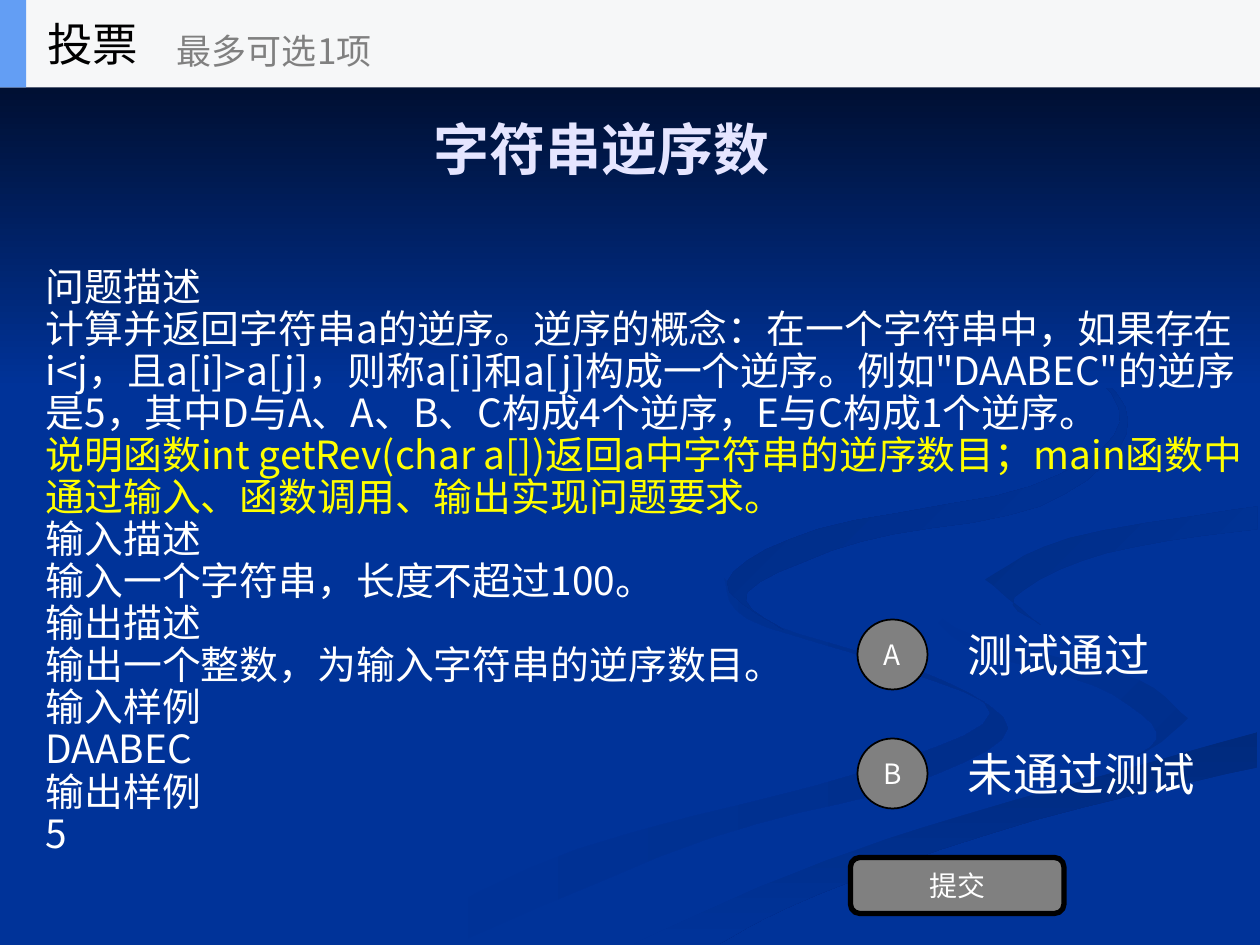
"""Build a voting slide about counting inversions in a string."""
from pptx import Presentation
from pptx.dml.color import RGBColor
from pptx.enum import shapes, text
from pptx.oxml.ns import qn
from pptx.util import Pt

SANS, SERIF = "Noto Sans CJK SC", "Times New Roman"
WHITE, BLACK, GRAY, YELLOW, BLUE = "FFFFFF", "000000", "808080", "FFFF00", "003399"
KIND = shapes.MSO_SHAPE
MIDDLE, TOP = text.MSO_ANCHOR.MIDDLE, text.MSO_ANCHOR.TOP
LEFT, CENTER = text.PP_ALIGN.LEFT, text.PP_ALIGN.CENTER

BODY = [
    ("问题描述", WHITE),
    ("计算并返回字符串a的逆序。逆序的概念：在一个字符串中，如果存在i<j，且a[i]>a[j]，"
     "则称a[i]和a[j]构成一个逆序。例如\"DAABEC\"的逆序是5，"
     "其中D与A、A、B、C构成4个逆序，E与C构成1个逆序。", WHITE),
    ("说明函数int getRev(char a[])返回a中字符串的逆序数目；"
     "main函数中通过输入、函数调用、输出实现问题要求。", YELLOW),
    ("输入描述", WHITE),
    ("输入一个字符串，长度不超过100。", WHITE),
    ("输出描述", WHITE),
    ("输出一个整数，为输入字符串的逆序数目。", WHITE),
    ("输入样例", WHITE),
    ("DAABEC", WHITE),
    ("输出样例", WHITE),
    ("5", WHITE),
]
OPTIONS = [("A", "测试通过"), ("B", "未通过测试")]
OPTION_TOP, OPTION_STEP = 349, 68

WAVE_SCALE = Pt(72) / 100
CURVE_STEPS = 5
BEND = [(724, 464), (758, 498), (830, 519), (905, 540), (943, 570)]
STREAM = [(503, 749), (630, 693), (764, 647), (998, 581)]
HOOK = [(782, 460), (849, 427), (998, 402)]
WAVES = [
    ((BLUE, "002E8B"), 0, [
        [(575, 459), (614, 496), (731, 533), (800, 578), (721, 623), (564, 665), (361, 749)],
        [(300, 749), (458, 674), (684, 613), (786, 566), (697, 525), (593, 491), (575, 459)]]),
    ((BLUE, "002E8B"), 45, [
        BEND, [(943, 570), (932, 589), (894, 605)],
        [(894, 605), (918, 581), (868, 544), (766, 512), (724, 464)]]),
    (("002A7D", BLUE), 90, [STREAM, [(998, 609), (821, 651), (649, 710), (571, 749)]]),
    ((BLUE, BLUE), 0, [
        BEND, [(943, 570), (892, 605), (743, 643), (573, 703), (477, 749)], STREAM,
        [(998, 538), (848, 503), (782, 460)], HOOK, [(998, 387), (788, 422), (724, 464)]]),
    (("002D86", BLUE), 45, [
        HOOK, [(998, 420), (878, 439), (805, 474), (826, 496)], [(826, 496), (782, 460)]]),
    (("002B82", BLUE), 45, [
        [(762, 233), (864, 291), (894, 344), (825, 402), (683, 430), (593, 470), (622, 500)],
        [(622, 500), (577, 462), (649, 420), (818, 386), (889, 335), (846, 279), (762, 233)]]),
]


def rgb(value):
    return RGBColor.from_string(value)


def smooth(edge):
    """Return points of a Catmull-Rom curve through an edge."""
    padded = [edge[0], *edge, edge[-1]]
    points = [edge[0]]
    for quad in zip(padded, padded[1:], padded[2:], padded[3:]):
        for step in range(1, CURVE_STEPS + 1):
            t = step / CURVE_STEPS
            points.append(tuple(
                b + t * (c - a + t * (2 * a - 5 * b + 4 * c - d + t * (3 * (b - c) + d - a))) / 2
                for a, b, c, d in zip(*quad)))
    return points


def paint_gradient(s, colors, angle):
    s.shadow.inherit = False
    s.line.fill.background()
    s.fill.gradient()
    s.fill.gradient_angle = -angle % 360
    for position, (stop, color) in enumerate(zip(s.fill.gradient_stops, colors)):
        stop.position = position
        stop.color.rgb = rgb(color)


def add_wave(slide, colors, angle, edges):
    points = [point for edge in edges for point in smooth(edge)]
    builder = slide.shapes.build_freeform(*points[0], scale=WAVE_SCALE)
    builder.add_line_segments(points[1:], close=True)
    paint_gradient(builder.convert_to_shape(), colors, angle)


def write(s, lines, size, font=SANS, bold=False, align=LEFT, anchor=MIDDLE, spacing=None):
    tf = s.text_frame
    tf.word_wrap = True
    tf.vertical_anchor = anchor
    tf.text = "\n".join(line for line, _ in lines)
    for p, (_, color) in zip(tf.paragraphs, lines):
        p.alignment = align
        p.line_spacing = spacing
        for r in p.runs:
            r.font.size, r.font.name, r.font.bold = Pt(size), font, bold
            r.font.color.rgb = rgb(color)
            ea = r.font._element.makeelement(qn("a:ea"), {"typeface": SANS})
            r.font._element.append(ea)


def add_text(slide, box, lines, size, **style):
    write(slide.shapes.add_textbox(*map(Pt, box)), lines, size, **style)


def add_block(slide, kind, box, fill, line_width=0, label=""):
    s = slide.shapes.add_shape(kind, *map(Pt, box))
    s.shadow.inherit = False
    s.fill.solid()
    s.fill.fore_color.rgb = rgb(fill)
    if line_width:
        s.line.color.rgb = rgb(BLACK)
        s.line.width = Pt(line_width)
    else:
        s.line.fill.background()
    if label:
        write(s, [(label, WHITE)], 16, align=CENTER)


def main():
    prs = Presentation()
    prs.slide_width, prs.slide_height = Pt(720), Pt(540)
    slide = prs.slides.add_slide(prs.slide_layouts[6])
    slide.background.fill.solid()
    slide.background.fill.fore_color.rgb = rgb(BLUE)
    for wave in WAVES:
        add_wave(slide, *wave)
    fade = slide.shapes.add_shape(KIND.RECTANGLE, 0, 0, Pt(720), Pt(222))
    paint_gradient(fade, ("000514", BLUE), 90)

    add_text(slide, (19, 102, 703, 438), BODY, 22.2, spacing=Pt(24))
    for i, (letter, label) in enumerate(OPTIONS):
        top = OPTION_TOP + i * OPTION_STEP
        add_text(slide, (546, top, 154, 50), [(label, WHITE)], 26)
        add_block(slide, KIND.OVAL, (490, top + 5, 40, 40), GRAY, 1, letter)
    add_block(slide, KIND.ROUNDED_RECTANGLE, (486, 490, 122, 32), GRAY, 3, "提交")
    add_text(slide, (20, 62, 648, 53), [("字符串逆序数", "E5E5FF")], 32,
             font=SERIF, bold=True, align=CENTER, anchor=TOP)

    add_block(slide, KIND.RECTANGLE, (0, 0, 720, 50), "F6F7F8")
    add_block(slide, KIND.RECTANGLE, (0, 0, 15, 50), "639EF4")
    add_text(slide, (20, 0, 150, 50), [("投票", BLACK)], 26)
    add_text(slide, (94, 9, 180, 40), [("最多可选1项", GRAY)], 20)
    prs.save("out.pptx")


if __name__ == "__main__":
    main()
